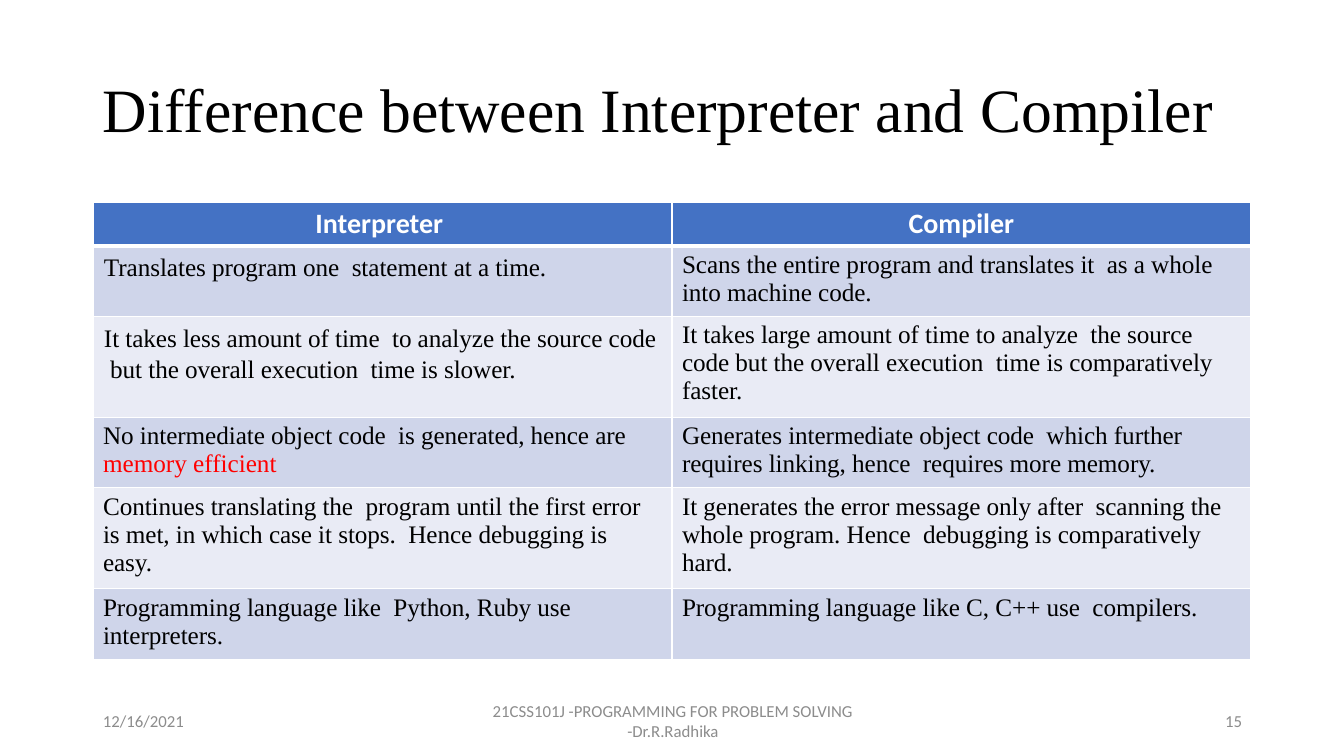
from lxml import etree
from pptx import Presentation
from pptx import util as u
from pptx.dml.color import RGBColor
from pptx.enum import text
from pptx.oxml.ns import qn

SCALE = 914400 / 100.8
SERIF, SANS = "Times New Roman", "Calibri"
WHITE, BLACK, GREY, RED = "FFFFFF", "000000", "8C8C8C", "FF0000"
HEAD, BANDS = "4472C4", ("CFD5EA", "E9EBF5")
LEFT, MID, RIGHT = text.PP_ALIGN.LEFT, text.PP_ALIGN.CENTER, text.PP_ALIGN.RIGHT
HEIGHTS = (43, 66, 94, 66, 94, 65)
ROWS = (
    ("Interpreter ", "Compiler"),
    ("Translates program one  statement at a time.",
     "Scans the entire program and translates it  as a whole into machine code."),
    ("It takes less amount of time  to analyze the source code  but the overall execution  time is slower.",
     "It takes large amount of time to analyze  the source code but the overall execution  time is comparatively faster."),
    ("No intermediate object code  is generated, hence are ",
     "Generates intermediate object code  which further requires linking, hence  requires more memory."),
    ("Continues translating the  program until the first error is met, in which case it stops.  Hence debugging is easy.",
     "It generates the error message only after  scanning the whole program. Hence  debugging is comparatively hard."),
    ("Programming language like  Python, Ruby use interpreters.",
     "Programming language like C, C++ use  compilers."),
)


def px(num):
    """Turn px into EMU."""
    return u.Emu(round(num * SCALE))


def tint(code):
    """Turn a hex string into a colour."""
    return RGBColor.from_string(code)


def style(run, size, face, hue, bold=False):
    """Format one run."""
    font = run.font
    font.size, font.name, font.bold = u.Pt(size), face, bold
    font.color.rgb = tint(hue)


def label(slide, box, words, size, face, hue, align=LEFT):
    """Add a text box centred on its height."""
    frame = slide.shapes.add_textbox(*map(px, box)).text_frame
    frame.word_wrap = True
    frame.vertical_anchor = text.MSO_ANCHOR.MIDDLE
    frame.text = words
    para = frame.paragraphs[0]
    para.alignment = align
    style(para.runs[0], size, face, hue)
    return para


def border(cell, widths):
    """Draw white lines on the left, right, top and bottom of a cell."""
    props = cell._tc.get_or_add_tcPr()
    for side, width in zip("LRTB", widths):
        line = etree.SubElement(props, qn("a:ln" + side), w=str(u.Pt(width)))
        fill = etree.SubElement(line, qn("a:solidFill"))
        etree.SubElement(fill, qn("a:srgbClr"), val=WHITE)


def paint(cell, words, row):
    """Fill one cell and format its text."""
    top = row == 0
    border(cell, (1, 1, 3 if row == 1 else 1, 3 if top else 1))
    cell.fill.solid()
    cell.fill.fore_color.rgb = tint(HEAD if top else BANDS[(row - 1) % 2])
    cell.text = words
    para = cell.text_frame.paragraphs[0]
    para.alignment = MID if top else LEFT
    run = para.runs[0]
    if top:
        style(run, 20, SANS, WHITE, True)
    else:
        style(run, 18, SERIF, BLACK)
        run.font._element.set("spc", "-5")
    return para


def grid(slide):
    """Add the table that sets the two side by side."""
    table = slide.shapes.add_table(
        len(ROWS), 2, px(93), px(202), px(1158), px(sum(HEIGHTS))).table
    for col in table.columns:
        col.width = px(579)
    for row, (high, pair) in enumerate(zip(HEIGHTS, ROWS)):
        table.rows[row].height = px(high)
        for col, words in enumerate(pair):
            para = paint(table.cell(row, col), words, row)
            if col == 0 and row in (1, 2):
                para.line_spacing = u.Pt(22.2)
                table.cell(row, col).margin_left = px(11)
    run = table.cell(3, 0).text_frame.paragraphs[0].add_run()
    run.text = "memory efficient"
    style(run, 18, SERIF, RED)


def main():
    """Build the slide and save it."""
    deck = Presentation()
    deck.slide_width, deck.slide_height = px(1344), px(756)
    slide = deck.slides.add_slide(deck.slide_layouts[6])
    title = label(slide, (93, 40, 1159, 146),
                  "Difference between Interpreter and Compiler", 44, SERIF, BLACK)
    title.line_spacing = 0.9
    grid(slide)
    foot = (
        (950, 302, "15", RIGHT),
        (93, 302, "12/16/2021", LEFT),
        (446, 454, "21CSS101J -PROGRAMMING FOR PROBLEM SOLVING -Dr.R.Radhika", MID),
    )
    for left, wide, words, align in foot:
        label(slide, (left, 701, wide, 40), words, 12, SANS, GREY, align)
    deck.save("out.pptx")


if __name__ == "__main__":
    main()
